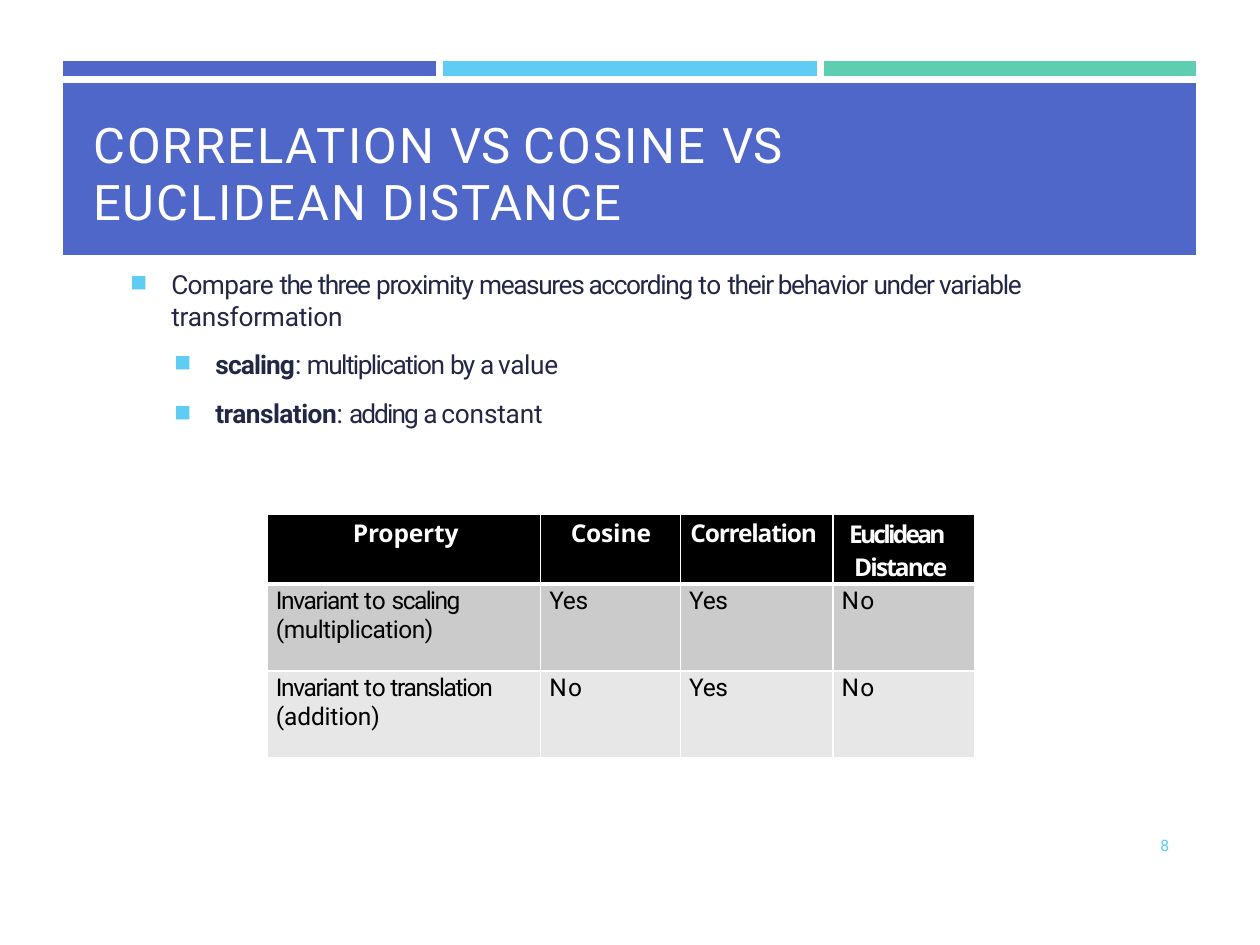
from lxml import etree
from pptx import Presentation
from pptx.dml.color import RGBColor
from pptx.oxml import ns
from pptx.util import Inches, Pt

WHITE, BLACK, NAVY = "FFFFFF", "000000", "212745"
BLUE, SKY, GREEN = "4E67C8", "5ECCF3", "5DCEAF"
hue = RGBColor.from_string


def put(para, runs, size, color, font="Roboto", bold=False, left=0, hang=0,
        before=0, line=None):
    """Write runs of (text, letter spacing[, bold]) into a paragraph."""
    for name, value in {"space_before": Pt(before), "line_spacing": line}.items():
        setattr(para, name, value)
    props = para._p.get_or_add_pPr()
    props.set("marL", str(Inches(left)))
    props.set("indent", str(Inches(hang)))
    for words, gap, *heavy in runs:
        run = para.add_run()
        run.text = words
        look = {"size": Pt(size), "name": font, "bold": heavy[0] if heavy else bold}
        for name, value in look.items():
            setattr(run.font, name, value)
        run.font.color.rgb = hue(color)
        run._r.get_or_add_rPr().set("spc", str(round(gap * 100)))


def style(cell, fill, edges, top=0.0, right=0.0):
    """Set insets, white edges {side: points} and fill of a cell."""
    insets = {"margin_left": 0, "margin_top": top, "margin_right": right, "margin_bottom": 0}
    for name, value in insets.items():
        setattr(cell, name, Inches(value))
    props = cell._tc.get_or_add_tcPr()
    for side in "LRTB":
        if side in edges:
            edge = etree.SubElement(props, ns.qn("a:ln" + side), w=str(Pt(edges[side])))
            solid = etree.SubElement(edge, ns.qn("a:solidFill"))
            etree.SubElement(solid, ns.qn("a:srgbClr"), val=WHITE)
    cell.fill.solid()
    cell.fill.fore_color.rgb = hue(fill)


deck = Presentation()
deck.slide_width, deck.slide_height = Inches(10), Inches(7.5)
slide = deck.slides.add_slide(deck.slide_layouts[6])

tables = []
for place, widths, heights in [
    ((0.49, 0.48, 9.01, 1.55), (3, 3.02, 2.99), (0.15, 1.4)),
    ((2.12, 4.08, 5.62, 1.91), (2.17, 1.11, 1.21, 1.13), (0.54, 0.69, 0.69)),
]:
    table = slide.shapes.add_table(len(heights), len(widths), *map(Inches, place)).table
    table.first_row = table.horz_banding = False
    for col, width in zip(table.columns, widths):
        col.width = Inches(width)
    for row, height in zip(table.rows, heights):
        row.height = Inches(height)
    tables.append(table)
banner, grid = tables

# Colour strips and title
for i, fill in enumerate((BLUE, SKY, GREEN)):
    cell = banner.cell(0, i)
    edges = {"B": 4.5}
    if i > 0:
        edges["L"] = 4.5
    if i < 2:
        edges["R"] = 4.5
    style(cell, fill, edges)
    etree.SubElement(cell.text_frame.paragraphs[0]._p, ns.qn("a:endParaRPr"), sz="100")
title = banner.cell(1, 0)
title.merge(banner.cell(1, 2))
style(title, BLUE, {"T": 4.5}, top=0.3, right=2)
put(title.text_frame.paragraphs[0],
    [("CORRELATION ", 1.2), ("VS ", 0), ("COSINE ", 1.4), ("VS ", 0),
     ("EUCLIDEAN ", 1.1), ("DISTANCE", 0.9)],
    28, WHITE, left=0.25, before=21.8, line=1.01)

# Bullets and page number
frames = []
for place in ((1.01, 2.12, 7.32, 1.3), (9.11, 6.63, 0.22, 0.17)):
    frame = slide.shapes.add_textbox(*map(Inches, place)).text_frame
    frame.word_wrap = True
    for side in ("left", "top", "right", "bottom"):
        setattr(frame, "margin_" + side, 0)
    frames.append(frame)
body, page = frames
body.margin_top = Inches(0.01)
put(page.paragraphs[0], [("8", -0.5)], 9, SKY, left=0.1, before=0.3)

points = [
    (0, 1, [("Compare ", -0.4), ("the ", -1), ("three ", -0.9), ("proximity ", -0.7),
            ("measures according ", -0.8), ("to ", -0.2), ("their behavior ", -0.8),
            ("under variable ", -0.7), ("transformation", -0.1)]),
    (1, 9.8, [("scaling", -0.5, True), (": ", -0.5), ("multiplication ", -0.9),
              ("by ", -1), ("a ", -1.6), ("value", -0.2)]),
    (1, 10.1, [("translation", -0.3, True), (": ", -0.3), ("adding ", -1.1),
               ("a ", -1.6), ("constant", -0.1)]),
]
for i, (level, before, runs) in enumerate(points):
    para = body.add_paragraph() if i else body.paragraphs[0]
    para.level = level
    put(para, runs, 15, NAVY, left=0.35 * (level + 1), hang=-0.33, before=before)
    props = para._p.get_or_add_pPr()
    tint = etree.SubElement(props, ns.qn("a:buClr"))
    etree.SubElement(tint, ns.qn("a:srgbClr"), val=SKY)
    etree.SubElement(props, ns.qn("a:buSzPct"), val="93000")
    etree.SubElement(props, ns.qn("a:buChar"), char="◾")

# Comparison table
heads = [
    ([("Property", -0.1)], 0.68, 0),
    ([("Cosine", -0.1)], 0.24, 0),
    ([("Correlation", -0.7)], 0.08, 0),
    ([("Euclidean ", -1.6), ("Distance", -1.1)], 0.17, -0.04),
]
for i, (runs, left, hang) in enumerate(heads):
    cell = grid.cell(0, i)
    style(cell, BLACK, {"L": 1, "R": 1, "T": 1, "B": 3}, top=0.02)
    put(cell.text_frame.paragraphs[0], runs, 14, WHITE, "Open Sans", True,
        left, hang, 1.6, 1.01 if hang else None)

yes, no = [("Yes", -0.2)], [("No", 0.7)]
rows = [
    ("CBCBCB", 3, [[("Invariant ", -0.8), ("to ", -0.1), ("scaling ", -0.9),
                    ("(multiplication)", -0.3)], yes, yes, no]),
    ("E7E7E7", 1, [[("Invariant ", -0.8), ("to", -0.1), (" translation ", -0.8),
                    ("(addition)", -0.1)], no, yes, no]),
]
for r, (fill, top, cells) in enumerate(rows, 1):
    for c, runs in enumerate(cells):
        cell = grid.cell(r, c)
        style(cell, fill, {"L": 1, "R": 1, "T": top, "B": 1}, top=0.02)
        put(cell.text_frame.paragraphs[0], runs, 14, BLACK, left=0.07,
            before=1.6 if c else 1.4, line=None if c else 1.01)

deck.save("out.pptx")
